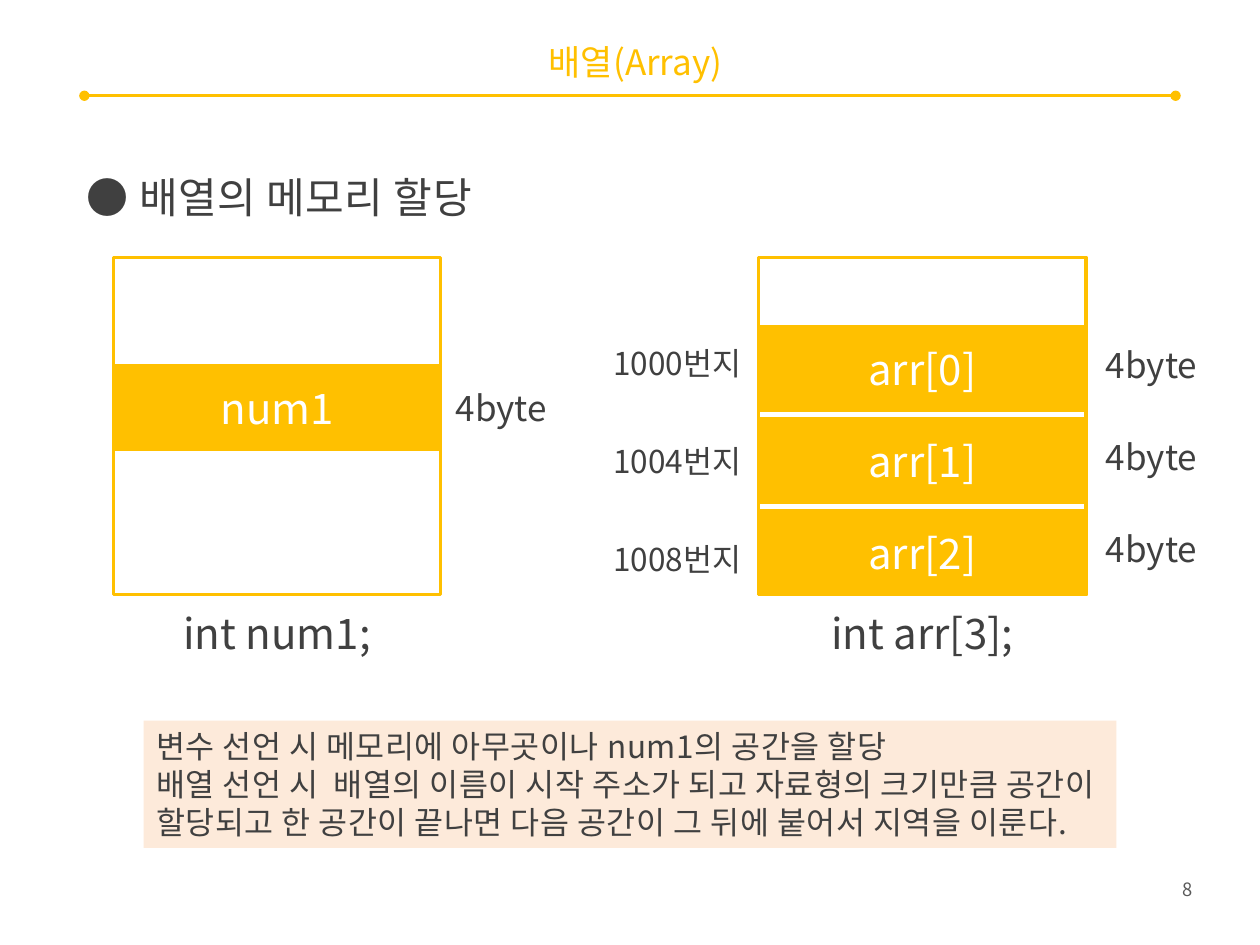
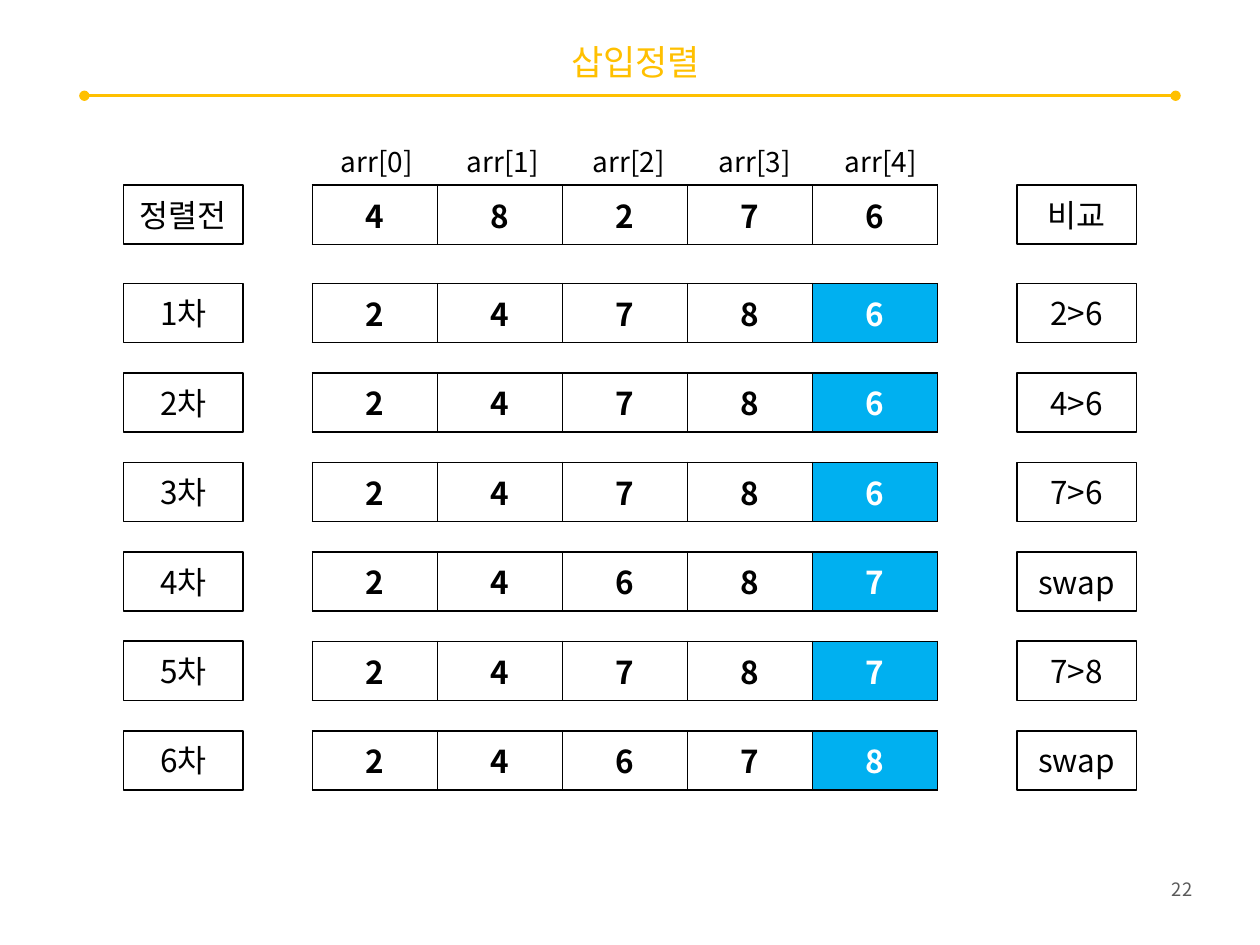
"""Build two slides on arrays: memory allocation and insertion sort steps."""
from dataclasses import dataclass

from lxml import etree
from pptx import Presentation, util as u
from pptx.dml.color import RGBColor
from pptx.enum import shapes, text
from pptx.oxml.ns import qn

WIDTH, HEIGHT = 10, 7.5


@dataclass(frozen=True)
class Theme:
    """Colours, type sizes, line width and tracking shared by the slides."""
    font: str = "Noto Sans CJK KR"
    accent: str = "FFC000"
    ink: str = "404040"
    black: str = "000000"
    white: str = "FFFFFF"
    muted: str = "595959"
    note: str = "FDEADA"
    mark: str = "00B0F0"
    heading: float = 24
    title: float = 20
    body: float = 18
    label: float = 16
    page: float = 10.5
    stroke: float = 1.75
    tracking: int = 30


T = Theme()
ALIGN = text.PP_ALIGN
ANCHOR = text.MSO_ANCHOR

MEMORY = {
    "title": "배열(Array)",
    "page": 8,
    "heading": "● 배열의 메모리 할당",
    "blocks": [
        {"left": 0.9, "first": 2.9, "cells": ["num1"], "code": "int num1;",
         "size_left": 3.35, "size_drop": 0.12, "addresses": []},
        {"left": 6.02, "first": 2.59, "cells": ["arr[0]", "arr[1]", "arr[2]"],
         "code": "int arr[3];", "size_left": 8.51, "size_drop": 0.09,
         "addresses": ["1000번지", "1004번지", "1008번지"]},
    ],
    "size": "4byte",
    "note": [
        "변수 선언 시 메모리에 아무곳이나 num1의 공간을 할당",
        "배열 선언 시  배열의 이름이 시작 주소가 되고 자료형의 크기만큼 공간이",
        "할당되고 한 공간이 끝나면 다음 공간이 그 뒤에 붙어서 지역을 이룬다.",
    ],
}

SORTING = {
    "title": "삽입정렬",
    "page": 22,
    "header": ("정렬전", "48276", "비교"),
    "steps": [
        ("1차", "24786", "2>6"),
        ("2차", "24786", "4>6"),
        ("3차", "24786", "7>6"),
        ("4차", "24687", "swap"),
        ("5차", "24787", "7>8"),
        ("6차", "24678", "swap"),
    ],
}


def write(tf, lines, size, color, align=ALIGN.CENTER, bold=None):
    """Fill a text frame with one paragraph per line; track left-aligned prose."""
    for i, line in enumerate(lines):
        p = tf.paragraphs[0] if i == 0 else tf.add_paragraph()
        p.alignment = align
        r = p.add_run()
        r.text = line
        for key, value in {"name": T.font, "size": u.Pt(size), "bold": bold}.items():
            setattr(r.font, key, value)
        r.font.color.rgb = RGBColor.from_string(color)
        r_pr = r._r.get_or_add_rPr()
        etree.SubElement(r_pr, qn("a:ea"), typeface=T.font)
        if align == ALIGN.LEFT:
            r_pr.set("spc", str(T.tracking))


def add_text(s, box, line, size, color=T.ink, align=ALIGN.CENTER,
             anchor=ANCHOR.TOP):
    """Add a wrapped one-line text box."""
    tf = s.shapes.add_textbox(*map(u.Inches, box)).text_frame
    tf.word_wrap, tf.vertical_anchor = True, anchor
    write(tf, [line], size, color, align)


def add_box(s, box, fill=None, line=None, width=1):
    """Add a flat rectangle and return its text frame."""
    sp = s.shapes.add_shape(shapes.MSO_SHAPE.RECTANGLE, *map(u.Inches, box))
    sp.shadow.inherit = False
    for part, color in ((sp.fill, fill), (sp.line.fill, line)):
        if color:
            part.solid()
            part.fore_color.rgb = RGBColor.from_string(color)
        else:
            part.background()
    if line:
        sp.line.width = u.Pt(width)
    tf = sp.text_frame
    tf.word_wrap, tf.vertical_anchor = True, ANCHOR.MIDDLE
    return tf


def add_slide(prs, content):
    """Add a blank slide with the shared rule, title and page number."""
    s = prs.slides.add_slide(prs.slide_layouts[6])
    margin, top = 0.67, 0.76
    rule = s.shapes.add_connector(
        shapes.MSO_CONNECTOR.STRAIGHT,
        *map(u.Inches, (margin, top, WIDTH - margin, top)))
    rule.line.color.rgb = RGBColor.from_string(T.accent)
    rule.line.width = u.Pt(T.stroke)
    for end in ("a:headEnd", "a:tailEnd"):
        etree.SubElement(rule.line._get_or_add_ln(), qn(end), type="oval")
    etree.SubElement(rule._element.spPr, qn("a:effectLst"))
    add_text(s, (8.97, 6.92, 0.59, 0.29), str(content["page"]), T.page, T.muted,
             ALIGN.RIGHT)
    add_text(s, (0.83, 0.3, 8.43, 0.38), content["title"], T.title, T.accent,
             anchor=ANCHOR.MIDDLE)
    return s


def add_memory_block(s, block):
    """Draw one memory column with its cells, sizes and addresses."""
    left, top, width, height = block["left"], 2.04, 2.6, 2.68
    cell_height, pitch = 0.67, 0.73
    add_box(s, (left, top, width, height), line=T.accent, width=T.stroke)
    for i, name in enumerate(block["cells"]):
        y = block["first"] + i * pitch
        tf = add_box(s, (left, y, width, cell_height), T.accent, T.accent, T.stroke)
        write(tf, [name], T.heading, T.white)
        add_text(s, (block["size_left"], y + block["size_drop"], 1.26, 0.44),
                 MEMORY["size"], T.title)
    for i, address in enumerate(block["addresses"]):
        add_text(s, (4.73, 2.68 + i * 0.78, 1.29, 0.4), address, T.body)
    add_text(s, (left, top + height + 0.05, width, 0.5), block["code"], T.heading)


def memory_slide(prs):
    """Build the memory allocation slide."""
    s = add_slide(prs, MEMORY)
    add_text(s, (0.59, 1.31, 6.06, 0.5), MEMORY["heading"], T.heading, align=ALIGN.LEFT)
    tf = add_box(s, (1.14, 5.72, 7.72, 1.01), T.note)
    tf.vertical_anchor = ANCHOR.TOP
    write(tf, MEMORY["note"], T.body, T.ink, ALIGN.LEFT)
    for block in MEMORY["blocks"]:
        add_memory_block(s, block)


def add_border(cell):
    """Give a table cell a thin black line on each side."""
    tc_pr = cell._tc.get_or_add_tcPr()
    for i, side in enumerate(("lnL", "lnR", "lnT", "lnB")):
        ln = etree.Element(qn(f"a:{side}"), w=str(u.Pt(1)))
        fill = etree.SubElement(ln, qn("a:solidFill"))
        etree.SubElement(fill, qn("a:srgbClr"), val=T.black)
        tc_pr.insert(i, ln)


def add_array(s, box, digits, marked):
    """Add a one-row table of digits, the last one marked if asked."""
    table = s.shapes.add_table(1, len(digits), *map(u.Inches, box)).table
    table.first_row = table.horz_banding = False
    for i, digit in enumerate(digits):
        cell = table.cell(0, i)
        is_key = marked and i == len(digits) - 1
        add_border(cell)
        cell.fill.solid()
        cell.fill.fore_color.rgb = RGBColor.from_string(T.mark if is_key else T.white)
        cell.vertical_anchor = ANCHOR.TOP
        write(cell.text_frame, [digit], T.body, T.white if is_key else T.black, bold=True)


def sorting_slide(prs):
    """Build the insertion sort slide."""
    s = add_slide(prs, SORTING)
    left, width, row_height = 2.48, 4.96, 0.47
    header_top, first_step, pitch = 1.47, 2.25, 0.71
    rows = [(header_top, SORTING["header"])]
    rows += [(first_step + i * pitch, step) for i, step in enumerate(SORTING["steps"])]
    for y, (step, digits, comparison) in rows:
        add_array(s, (left, y, width, row_height), digits, y > header_top)
        for x, label in ((0.98, step), (8.07, comparison)):
            tf = add_box(s, (x, y, 0.95, row_height), T.white, T.black)
            write(tf, [label], T.body, T.black)
    for i in range(len(SORTING["header"][1])):
        add_text(s, (left + i, 1.1, 1.02, 0.37), f"arr[{i}]", T.label, T.black)


def main():
    """Build and save the presentation."""
    prs = Presentation()
    prs.slide_width, prs.slide_height = u.Inches(WIDTH), u.Inches(HEIGHT)
    memory_slide(prs)
    sorting_slide(prs)
    prs.save("out.pptx")


if __name__ == "__main__":
    main()
